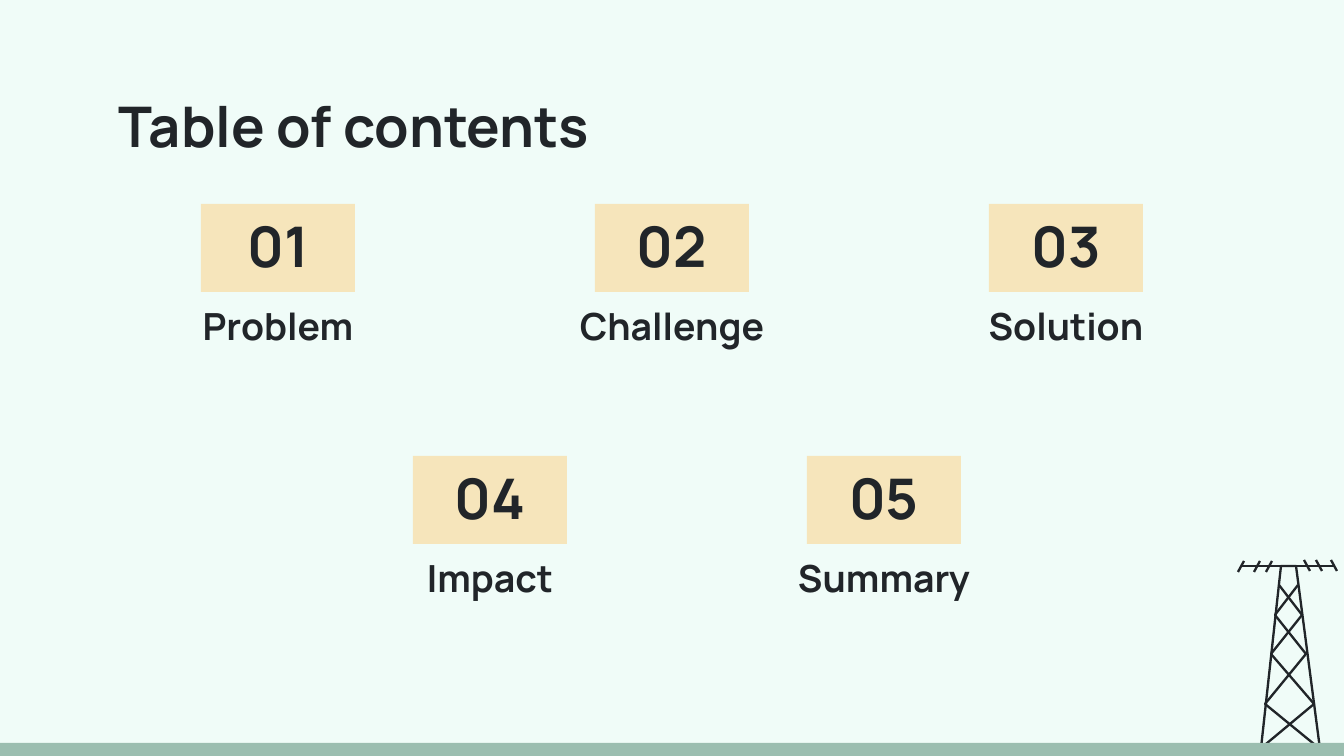
from lxml import etree
from pptx import Presentation
from pptx.dml.color import RGBColor
from pptx.enum.shapes import MSO_CONNECTOR, MSO_SHAPE
from pptx.enum.text import MSO_ANCHOR, PP_ALIGN
from pptx.oxml.ns import qn
from pptx.util import Pt

RECTANGLE = MSO_SHAPE.RECTANGLE
STRAIGHT = MSO_CONNECTOR.STRAIGHT
TOP, BOTTOM = MSO_ANCHOR.TOP, MSO_ANCHOR.BOTTOM
LEFT, CENTER = PP_ALIGN.LEFT, PP_ALIGN.CENTER

EMU_PER_PX = 914400 / 134.4
SLIDE_WIDTH, SLIDE_HEIGHT = 1344, 756
COLORS = {"background": "F0FCF8", "ink": "212529", "card": "F6E5BB", "ground": "9BBEB0"}


def emu(px):
    return round(px * EMU_PER_PX)


def color(name):
    return RGBColor.from_string(COLORS[name])


class SlideBuilder:
    font_name = "Manrope"
    inset = 13
    line_width = Pt(1.25)

    def __init__(self, slide):
        self.slide = slide
        fill = slide.background.fill
        fill.solid()
        fill.fore_color.rgb = color("background")

    def set_text(self, shape, text, size, align, anchor, spacing=1.0):
        frame = shape.text_frame
        frame.text = text
        frame.word_wrap = True
        frame.vertical_anchor = anchor
        frame.margin_left = frame.margin_right = emu(self.inset)
        frame.margin_top = frame.margin_bottom = emu(self.inset)
        paragraph = frame.paragraphs[0]
        paragraph.alignment = align
        paragraph.line_spacing = spacing
        font = paragraph.runs[0].font
        font.name = self.font_name
        font.size = Pt(size)
        font.bold = True
        font.color.rgb = color("ink")

    def text(self, box, text, size, align=LEFT, anchor=TOP, spacing=1.0):
        shape = self.slide.shapes.add_textbox(*map(emu, box))
        self.set_text(shape, text, size, align, anchor, spacing)

    def rectangle(self, box, fill_name):
        shape = self.slide.shapes.add_shape(RECTANGLE, *map(emu, box))
        shape.shadow.inherit = False
        shape.fill.solid()
        shape.fill.fore_color.rgb = color(fill_name)
        shape.line.fill.background()
        return shape

    def style_line(self, line):
        line.color.rgb = color("ink")
        line.width = self.line_width

    def line(self, start, end):
        connector = self.slide.shapes.add_connector(STRAIGHT, *map(emu, start + end))
        self.style_line(connector.line)
        etree.SubElement(connector._element.spPr, qn("a:effectLst"))

    def polyline(self, points):
        builder = self.slide.shapes.build_freeform(*points[0], scale=EMU_PER_PX)
        builder.add_line_segments(points[1:], close=False)
        shape = builder.convert_to_shape()
        shape.shadow.inherit = False
        shape.fill.background()
        self.style_line(shape.line)

    def pylon(self):
        self.polyline([(1260, 757), (1281, 566), (1296, 566), (1321, 757)])
        levels = (749, 704, 654, 615, 585)
        for brace in ((1320, 1265, 1306, 1275, 1298), (1260, 1314, 1271, 1302, 1279)):
            self.polyline(list(zip(brace, levels)))
        self.line((1241, 566), (1335, 566))
        for x in (1331, 1316, 1304):
            self.line((x, 560), (x + 6, 571))
        for x in (1244, 1260, 1272):
            self.line((x, 561), (x - 6, 572))

    def entry(self, center, top, number, label):
        """Number card with its section label underneath."""
        width, height, label_width = 154, 88, 344
        card = self.rectangle((center - width // 2, top, width, height), "card")
        self.set_text(card, number, 30, CENTER, BOTTOM)
        label_box = (center - label_width // 2, top + height, label_width, 69)
        self.text(label_box, label, 20, CENTER, BOTTOM, 1.15)


def main():
    presentation = Presentation()
    presentation.slide_width = emu(SLIDE_WIDTH)
    presentation.slide_height = emu(SLIDE_HEIGHT)
    builder = SlideBuilder(presentation.slides.add_slide(presentation.slide_layouts[6]))

    builder.pylon()
    builder.rectangle((-6, 743, 1350, 22), "ground")
    builder.text((106, 79, 1133, 93), "Table of contents", 30)

    column_step = 394
    rows = [(278, 204, ["Problem", "Challenge", "Solution"]),
            (490, 456, ["Impact", "Summary"])]
    number = 1
    for first_center, top, labels in rows:
        for column, label in enumerate(labels):
            builder.entry(first_center + column * column_step, top, f"{number:02}", label)
            number += 1

    presentation.save("out.pptx")


if __name__ == "__main__":
    main()
